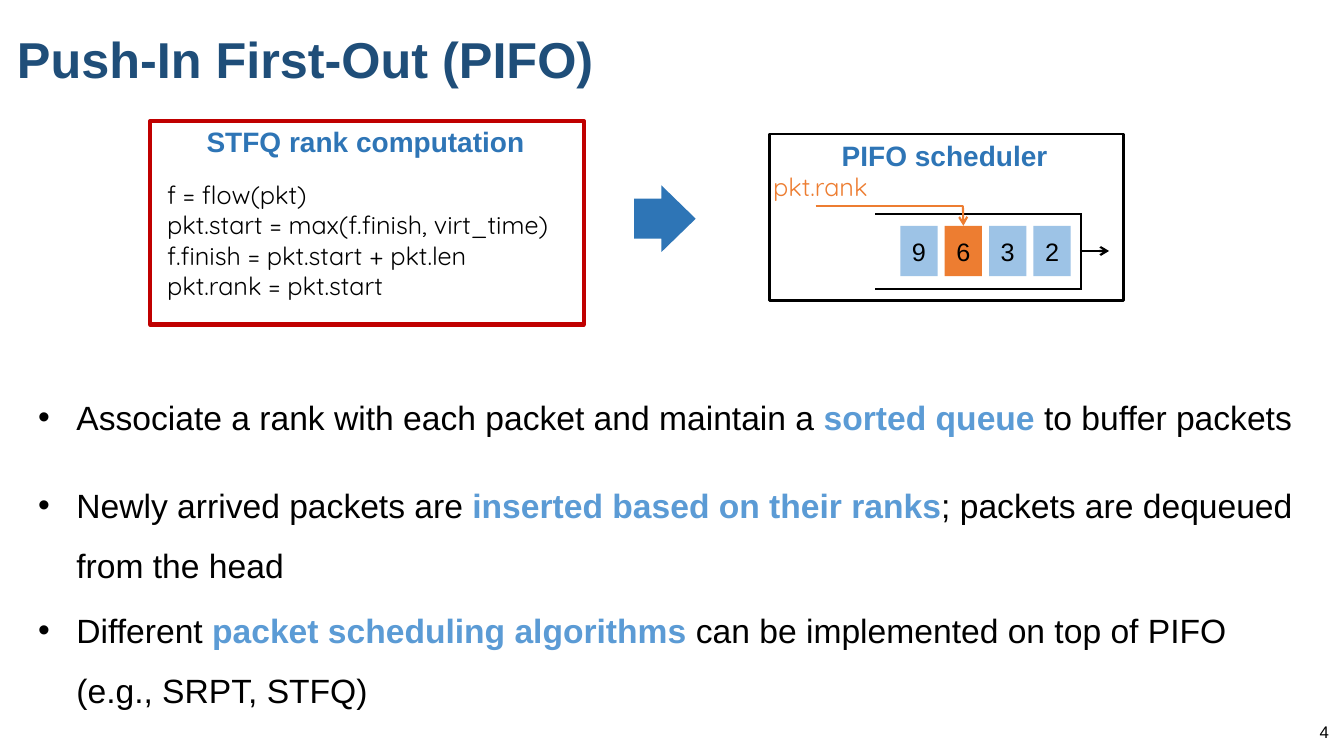
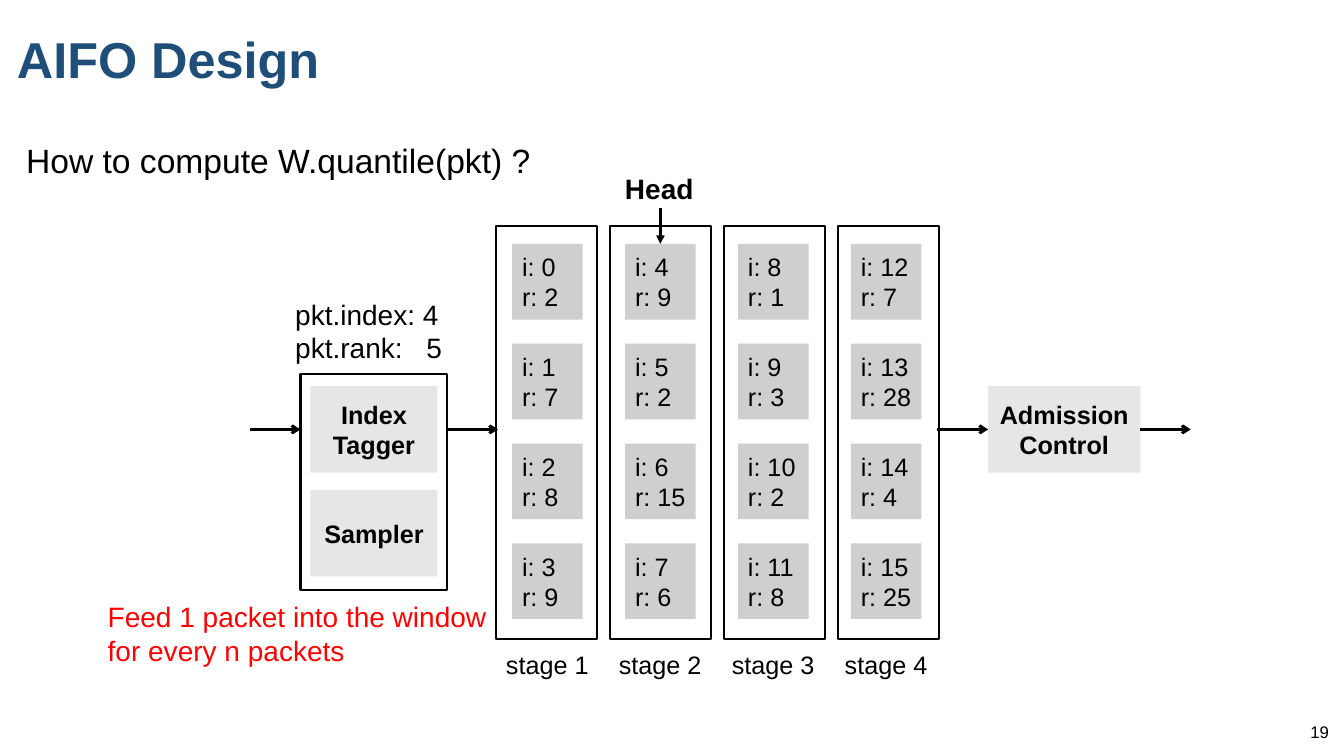
from dataclasses import dataclass

from lxml import etree
from pptx import Presentation
from pptx.dml.color import RGBColor
from pptx.enum.shapes import MSO_CONNECTOR, MSO_SHAPE
from pptx.enum.text import MSO_ANCHOR, MSO_AUTO_SIZE, PP_ALIGN
from pptx.oxml.ns import qn
from pptx.util import Pt

RECT, ARROW = MSO_SHAPE.RECTANGLE, MSO_SHAPE.RIGHT_ARROW
STRAIGHT = MSO_CONNECTOR.STRAIGHT
LEFT, CENTER, RIGHT = PP_ALIGN.LEFT, PP_ALIGN.CENTER, PP_ALIGN.RIGHT
TOP, MIDDLE = MSO_ANCHOR.TOP, MSO_ANCHOR.MIDDLE
GROW = MSO_AUTO_SIZE.SHAPE_TO_FIT_TEXT
PX = 9144


@dataclass(frozen=True)
class Theme:
    font: str = "Arial"
    code_font: str = "Quicksand"
    black: str = "000000"
    title: str = "1F4E79"
    heading: str = "2E75B6"
    emphasis: str = "5B9BD5"
    packet: str = "9DC3E6"
    orange: str = "ED7D31"
    frame: str = "C00000"
    alert: str = "FF0000"
    cell: str = "D0CECE"
    module: str = "E7E6E6"
    title_size: int = 36
    body_size: int = 24
    label_size: int = 20
    small_size: int = 18
    page_size: int = 12


T = Theme()


def box(s, at, text="", size=T.small_size, color=T.black, bold=False, font=T.font,
        align=LEFT, anchor=TOP, wrap=False, kind=None, fill=None, line=None, width=1.5):
    at = [v * PX for v in at]
    if kind is None:
        sp = s.shapes.add_textbox(*at)
    else:
        sp = s.shapes.add_shape(kind, *at)
        sp.shadow.inherit = False
        if fill:
            sp.fill.solid()
            sp.fill.fore_color.rgb = RGBColor.from_string(fill)
        else:
            sp.fill.background()
        if line:
            sp.line.color.rgb = RGBColor.from_string(line)
            sp.line.width = Pt(width)
        else:
            sp.line.fill.background()
    if text:
        tf = sp.text_frame
        tf.text = text
        tf.word_wrap = wrap
        tf.vertical_anchor = anchor
        if not wrap:
            tf.auto_size = GROW
        for p in tf.paragraphs:
            p.alignment = align
            for r in p.runs:
                r.font.name = font
                r.font.size = Pt(size)
                r.font.bold = bold
                r.font.color.rgb = RGBColor.from_string(color)
    return sp


def connect(s, start, end, color=T.black, width=1.5, tail=None):
    c = s.shapes.add_connector(STRAIGHT, *[v * PX for v in (*start, *end)])
    c.line.color.rgb = RGBColor.from_string(color)
    c.line.width = Pt(width)
    if tail:
        etree.SubElement(c.line._get_or_add_ln(), qn("a:tailEnd"), type=tail)
    etree.SubElement(c._element.spPr, qn("a:effectLst"))
    return c


prs = Presentation()
prs.slide_width, prs.slide_height = 1333 * PX, 750 * PX
slides = []
for title, number in (("Push-In First-Out (PIFO)", "4"), ("AIFO Design", "19")):
    s = prs.slides.add_slide(prs.slide_layouts[6])
    slides.append(s)
    box(s, (1028, 706, 300, 40), number, T.page_size, align=RIGHT, anchor=MIDDLE, wrap=True)
    sp = box(s, (7, -11, 1228, 145), title, T.title_size, T.title, True,
             anchor=MIDDLE, wrap=True)
    sp.text_frame.paragraphs[0].line_spacing = 0.9
pifo, aifo = slides

box(pifo, (149, 120, 430, 202), kind=RECT, line=T.frame, width=3)
code = """f = flow(pkt)
pkt.start = max(f.finish, virt_time)
f.finish = pkt.start + pkt.len
pkt.rank = pkt.start"""
box(pifo, (156, 173, 423, 131), code, font=T.code_font)
box(pifo, (195, 119, 338, 44), "STFQ rank computation", T.label_size, T.heading, True)
sp = box(pifo, (629, 184, 61, 66), kind=ARROW, fill=T.heading)
sp.adjustments[0], sp.adjustments[1] = 0.603, 0.556

box(pifo, (763, 133, 351, 165), kind=RECT, line=T.black, width=2)
box(pifo, (825, 133, 226, 44), "PIFO scheduler", T.label_size, T.heading, True)
box(pifo, (757, 165, 123, 40), "pkt.rank", color=T.orange, font=T.code_font)
for start, end in (((868, 212), (1073, 212)), ((868, 287), (1073, 287)),
                   ((1072, 287), (1072, 212))):
    connect(pifo, start, end)
packets = {}
for i, rank in enumerate("9632"):
    packets[rank] = box(pifo, (893 + 44 * i, 224, 37, 50), rank, align=CENTER,
                        anchor=MIDDLE, wrap=True, kind=RECT,
                        fill=T.orange if rank == "6" else T.packet)
connect(pifo, (809, 204), (955, 204), T.orange)
c = connect(pifo, (955, 204), (955, 224), T.orange, tail="arrow")
c.end_connect(packets["6"], 0)
connect(pifo, (1071, 249), (1100, 249), tail="arrow")

bullets = (
    (331, 145, "Associate a rank with each packet and maintain a ", "sorted queue ",
     "to buffer packets"),
    (441, 160, "Newly arrived packets are ", "inserted based on their ranks",
     "; packets are dequeued from the head"),
    (565, 160, "Different ", "packet scheduling algorithms ",
     "can be implemented on top of PIFO (e.g., SRPT, STFQ)"),
)
for top, height, before, key, after in bullets:
    sp = box(pifo, (28, top, 1277, height), before, T.body_size, anchor=MIDDLE, wrap=True)
    p = sp.text_frame.paragraphs[0]
    p.line_spacing = 1.5
    pPr = p._p.get_or_add_pPr()
    pPr.set("marL", str(38 * PX))
    pPr.set("indent", str(-38 * PX))
    etree.SubElement(pPr, qn("a:buFont"), typeface=T.font)
    etree.SubElement(pPr, qn("a:buChar"), char="•")
    for text, color, bold in ((key, T.emphasis, True), (after, T.black, False)):
        r = p.add_run()
        r.text = text
        r.font.name = T.font
        r.font.size = Pt(T.body_size)
        r.font.bold = bold
        r.font.color.rgb = RGBColor.from_string(color)

box(aifo, (16, 134, 525, 50), "How to compute W.quantile(pkt) ?", T.body_size)
stage_ranks = ((2, 7, 8, 9), (9, 2, 15, 6), (1, 3, 2, 8), (7, 28, 4, 25))
cells = []
for col, ranks in enumerate(stage_ranks):
    box(aifo, (492 + 113 * col, 224, 100, 410), kind=RECT, line=T.black)
    box(aifo, (492 + 112 * col, 639, 103, 40), f"stage {col + 1}")
    for row, rank in enumerate(ranks):
        sp = box(aifo, (508 + 112 * col, 242 + 99 * row, 70, 75),
                 f"i: {len(cells)}\nr: {rank}", anchor=MIDDLE, wrap=True,
                 kind=RECT, fill=T.cell)
        sp.text_frame.margin_right = 0
        cells.append(sp)

box(aifo, (610, 165, 89, 44), "Head", T.label_size, bold=True)
c = connect(aifo, (655, 206), (655, 242), width=2, tail="triangle")
c.end_connect(cells[4], 0)

box(aifo, (298, 371, 145, 214), kind=RECT, line=T.black)
modules = {}
for x, y, w, name in ((308, 383, 126, "Index\nTagger"), (308, 486, 126, "Sampler"),
                      (980, 383, 151, "Admission\nControl")):
    modules[name] = box(aifo, (x, y, w, 86), name, bold=True, align=CENTER,
                        anchor=MIDDLE, wrap=True, kind=RECT, fill=T.module)
admission = modules["Admission\nControl"]
for x in (248, 444):
    connect(aifo, (x, 426), (x + 50, 426), width=2, tail="arrow")
c = connect(aifo, (929, 426), (980, 426), width=2, tail="arrow")
c.end_connect(admission, 1)
c = connect(aifo, (1131, 426), (1181, 426), width=2, tail="arrow")
c.begin_connect(admission, 3)

sp = box(aifo, (283, 290, 180, 77), "pkt.index: 4\npkt.rank:\t5", T.label_size, wrap=True)
pPr = sp.text_frame.paragraphs[1]._p.get_or_add_pPr()
tabs = etree.SubElement(pPr, qn("a:tabLst"))
etree.SubElement(tabs, qn("a:tab"), pos=str(130 * PX), algn="l")
box(aifo, (97, 590, 407, 77), "Feed 1 packet into the window\nfor every n packets",
    T.label_size, T.alert)

prs.save("out.pptx")
